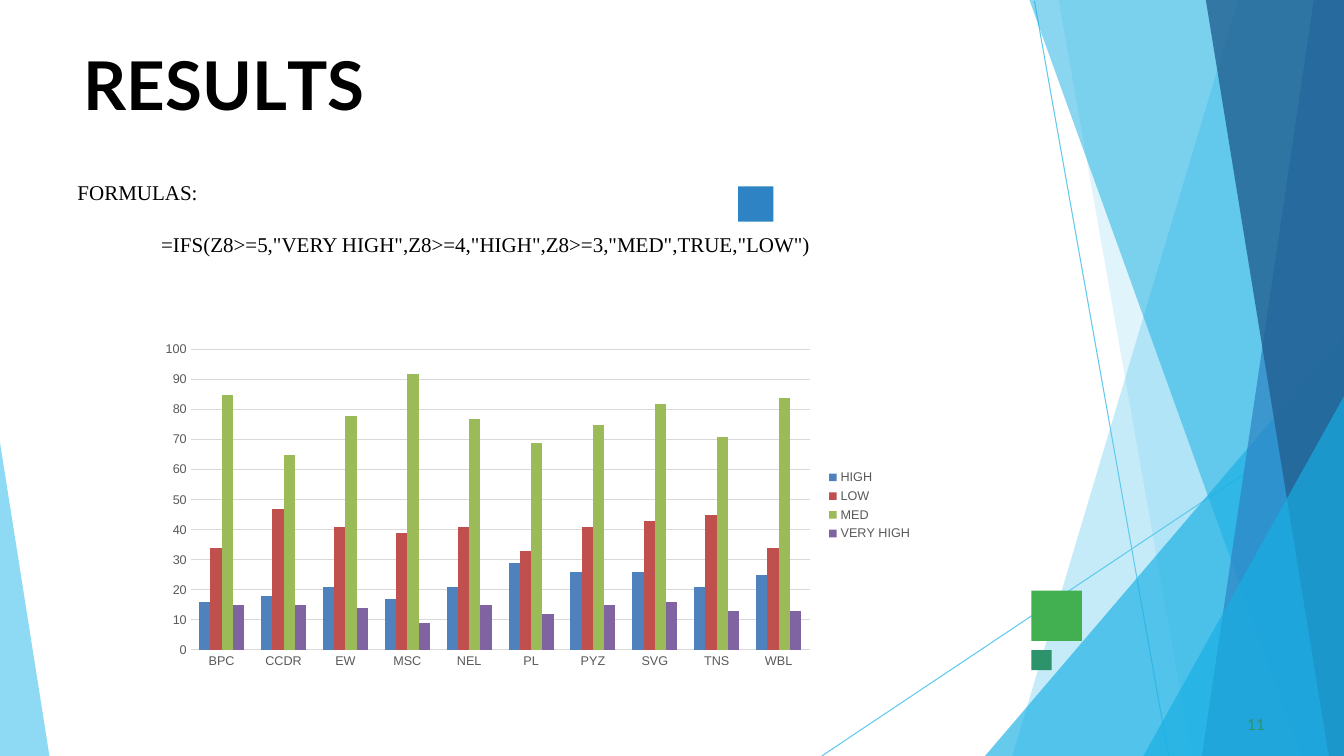
from pptx import Presentation
from pptx.chart.data import CategoryChartData
from pptx.dml.color import RGBColor
from pptx.enum.chart import XL_CHART_TYPE, XL_LEGEND_POSITION, XL_TICK_MARK
from pptx.enum.shapes import MSO_CONNECTOR, MSO_SHAPE
from pptx.enum.text import MSO_ANCHOR, PP_ALIGN
from pptx.oxml.ns import qn
from pptx.util import Inches, Pt
from lxml.etree import SubElement

# Content
TITLE = [("RESU", 0), ("L", -4), ("TS", 0)]  # text, letter spacing in points
FORMULA_LABEL = "FORMULAS:"
FORMULA = '=IFS(Z8>=5,"VERY HIGH",Z8>=4,"HIGH",Z8>=3,"MED",TRUE,"LOW")'
PAGE_NUMBER = "11"
CATEGORIES = ["BPC", "CCDR", "EW", "MSC", "NEL", "PL", "PYZ", "SVG", "TNS", "WBL"]
SERIES = [
    ("HIGH", "4F81BD", [16, 18, 21, 17, 21, 29, 26, 26, 21, 25]),
    ("LOW", "C0504D", [34, 47, 41, 39, 41, 33, 41, 43, 45, 34]),
    ("MED", "9BBB59", [85, 65, 78, 92, 77, 69, 75, 82, 71, 84]),
    ("VERY HIGH", "8064A2", [15, 15, 14, 9, 15, 12, 15, 16, 13, 13]),
]

# Decoration, in inches
WIDTH, HEIGHT = 13.33, 7.5
LINES = [(10.26, 0.01, 11.59, HEIGHT), (WIDTH, 4.04, 8.15, HEIGHT)]
# Right-hand facets: top-left x, top y, bottom-left x, colour, opacity in percent
FACETS = [
    (12.28, 0, 10.04, "5FCAEE", 36),
    (10.5, 0, 11.82, "5FCAEE", 20),
    (WIDTH, 3.33, 9.77, "17AFE3", 66),
    (10.21, 0, 12.91, "17AFE3", 50),
    (13.03, 0, 11.92, "2D83C3", 70),
    (11.96, 0, 13.18, "226192", 80),
    (WIDTH, 3.93, 11.34, "17AFE3", 66),
]
SQUARES = [  # left, top, size, colour
    (10.23, 5.86, 0.5, "42AF51"),
    (7.32, 1.85, 0.35, "2D83C3"),
    (10.23, 6.45, 0.2, "2D936B"),
]


def color(hex_value):
    return RGBColor.from_string(hex_value)


def paint(shape, hex_value, opacity=100):
    shape.shadow.inherit = False
    shape.line.fill.background()
    shape.fill.solid()
    shape.fill.fore_color.rgb = color(hex_value)
    if opacity < 100:
        solid_fill = shape._element.spPr.find(qn("a:solidFill"))
        SubElement(solid_fill[0], qn("a:alpha")).set("val", str(opacity * 1000))


def add_facet(slide, points, hex_value, opacity):
    start, *others = [(Inches(x), Inches(y)) for x, y in points]
    builder = slide.shapes.build_freeform(*start)
    builder.add_line_segments(others, close=True)
    paint(builder.convert_to_shape(), hex_value, opacity)


def place(shape, left, top, width, height):
    shape.left, shape.top = Inches(left), Inches(top)
    shape.width, shape.height = Inches(width), Inches(height)


def set_font(font, name, size, hex_value, bold=False):
    font.name, font.size, font.bold = name, Pt(size), bold
    font.color.rgb = color(hex_value)


def set_frame(text_frame, left=0, top=0.01):
    text_frame.word_wrap = True
    text_frame.vertical_anchor = MSO_ANCHOR.TOP
    text_frame.margin_left, text_frame.margin_top = Inches(left), Inches(top)
    text_frame.margin_right = text_frame.margin_bottom = 0


def add_background(slide):
    for x1, y1, x2, y2 in LINES:
        line = slide.shapes.add_connector(
            MSO_CONNECTOR.STRAIGHT, Inches(x1), Inches(y1), Inches(x2), Inches(y2))
        line.line.color.rgb = color("5FCAEE")
        line.line.width = Pt(0.75)
        SubElement(line._element.spPr, qn("a:effectLst"))
    for top_x, top_y, bottom_x, hex_value, opacity in FACETS:
        points = [(WIDTH, top_y), (top_x, top_y), (bottom_x, HEIGHT), (WIDTH, HEIGHT)]
        add_facet(slide, list(dict.fromkeys(points)), hex_value, opacity)
    add_facet(slide, [(0, 4.39), (0, HEIGHT), (0.49, HEIGHT)], "5FCAEE", 70)
    for left, top, size, hex_value in SQUARES:
        square = slide.shapes.add_shape(
            MSO_SHAPE.RECTANGLE, Inches(left), Inches(top), Inches(size), Inches(size))
        paint(square, hex_value)


def add_texts(slide):
    # Title
    title = slide.shapes.title
    place(title, 0.83, 0.42, 11.68, 0.81)
    set_frame(title.text_frame)
    paragraph = title.text_frame.paragraphs[0]
    paragraph.alignment = PP_ALIGN.LEFT
    paragraph.space_before = Pt(1.1)
    for text, spacing in TITLE:
        run = paragraph.add_run()
        run.text = text
        set_font(run.font, "Lato", 48, "000000", bold=True)
        run.font._element.set("spc", str(spacing * 100))

    # Formula
    box = slide.shapes.add_textbox(Inches(0.67), Inches(1.73), Inches(12), Inches(0.86))
    set_frame(box.text_frame, 0.1, 0.05)
    box.text_frame.text = f"{FORMULA_LABEL}\n{FORMULA}"
    for paragraph in box.text_frame.paragraphs:
        set_font(paragraph.runs[0].font, "Times New Roman", 15, "000000")
    paragraph.space_before = Pt(19)
    paragraph._p.get_or_add_pPr().set("marL", str(Inches(0.83)))

    # Page number
    box = slide.shapes.add_textbox(Inches(12.33), Inches(7.08), Inches(0.25), Inches(0.18))
    set_frame(box.text_frame, 0.04)
    box.text_frame.text = PAGE_NUMBER
    set_font(box.text_frame.paragraphs[0].runs[0].font, "Lato", 11, "2D936B")


def add_results_chart(slide):
    chart_data = CategoryChartData()
    chart_data.categories = CATEGORIES
    for name, _, values in SERIES:
        chart_data.add_series(name, values)
    chart = slide.shapes.add_chart(
        XL_CHART_TYPE.COLUMN_CLUSTERED,
        Inches(1.49), Inches(3.33), Inches(7.66), Inches(3.37), chart_data).chart
    chart.has_title = False
    set_font(chart.font, "Arial", 9, "595959")
    chart.has_legend = True
    chart.legend.position = XL_LEGEND_POSITION.RIGHT
    chart.legend.include_in_layout = False

    plot = chart.plots[0]
    plot.gap_width, plot.overlap = 150, 0
    plot.vary_by_categories = False
    for series, (_, hex_value, _) in zip(plot.series, SERIES):
        series.format.fill.solid()
        series.format.fill.fore_color.rgb = color(hex_value)

    for axis in (chart.category_axis, chart.value_axis):
        axis.major_tick_mark = axis.minor_tick_mark = XL_TICK_MARK.NONE
        axis.format.line.fill.background()
    value_axis = chart.value_axis
    value_axis.minimum_scale, value_axis.maximum_scale = 0, 100
    value_axis.major_unit = 10
    grid_line = value_axis.major_gridlines.format.line
    grid_line.color.rgb = color("D9D9D9")
    grid_line.width = Pt(0.75)


def main():
    presentation = Presentation()
    presentation.slide_width, presentation.slide_height = Inches(WIDTH), Inches(HEIGHT)
    slide = presentation.slides.add_slide(presentation.slide_layouts[5])
    add_background(slide)
    add_texts(slide)
    add_results_chart(slide)
    presentation.save("out.pptx")


if __name__ == "__main__":
    main()
